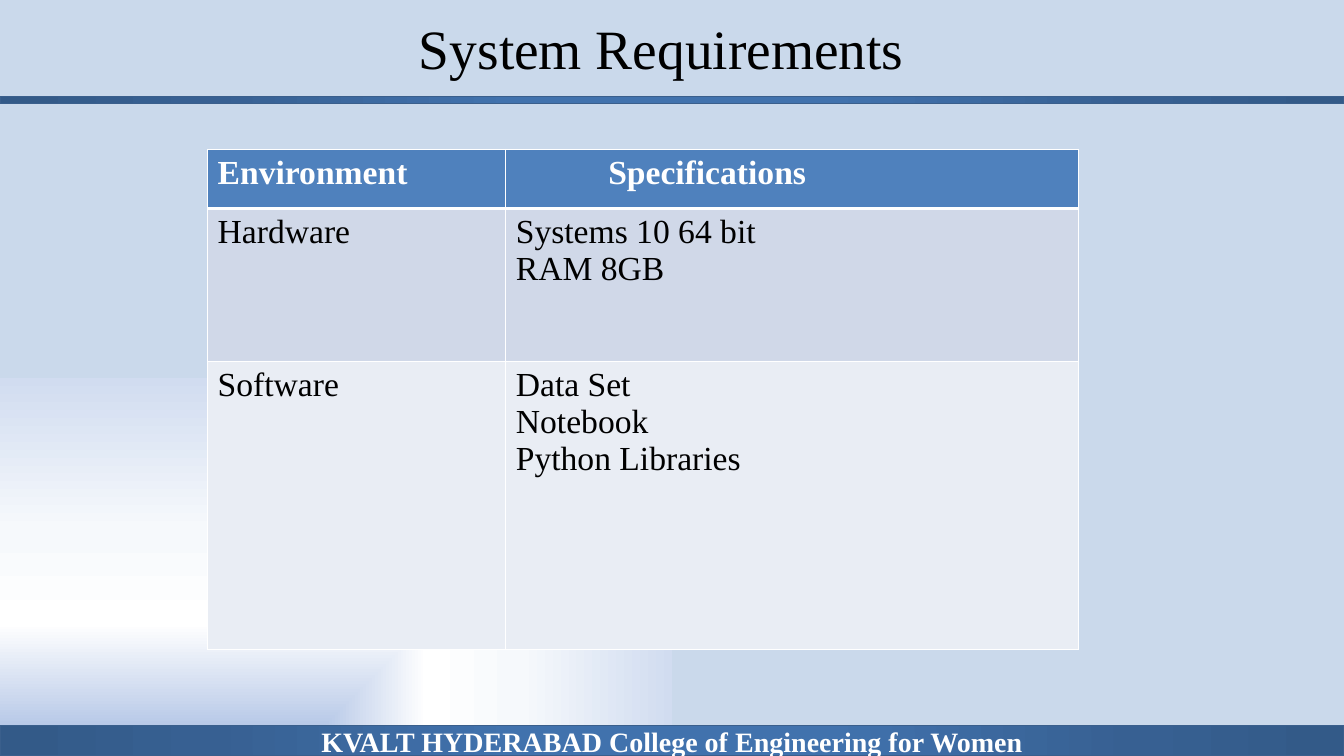
from lxml import etree
from pptx import Presentation
from pptx.dml.color import RGBColor
from pptx.enum.shapes import MSO_SHAPE
from pptx.enum.text import MSO_ANCHOR, MSO_AUTO_SIZE, PP_ALIGN
from pptx.oxml.ns import qn
from pptx.util import Pt

RECTANGLE = MSO_SHAPE.RECTANGLE
CENTER = PP_ALIGN.CENTER
FONT = "Times New Roman"
COLORS = {
    "black": "000000",
    "white": "FFFFFF",
    "bar line": "3A5F8C",
    "header": "4F81BD",
    "hardware": "D0D8E8",
    "software": "E9EDF4",
}
BAR_STOPS = [(0, "4172AD"), (23, "4172AD"), (69, "376092"), (97, "335A88")]
PAGE_STOPS = [(6, "BECEEA"), (7, "B5C7E7"), (35, "FFFFFF"), (60, "F6F9FC"),
              (100, "D1DCF0"), (100, "B0C6E1"), (100, "CAD9EB")]


def path_gradient(fill, owner, stops, kind, focus):
    """Fill with a gradient that spreads out from the focus rectangle."""
    fill.gradient()
    gradient = next(owner.iter(qn("a:gradFill")))
    for child in list(gradient):
        gradient.remove(child)
    stop_list = etree.SubElement(gradient, qn("a:gsLst"))
    for position, color in stops:
        stop = etree.SubElement(stop_list, qn("a:gs"), pos=str(position * 1000))
        etree.SubElement(stop, qn("a:srgbClr"), val=color)
    spread = etree.SubElement(gradient, qn("a:path"), path=kind)
    sides = {side: str(share * 1000) for side, share in zip("ltrb", focus)}
    etree.SubElement(spread, qn("a:fillToRect"), **sides)


def add_span(para, text, size, color, bold=False):
    span = para.add_run()
    span.text = text
    span.font.name = FONT
    span.font.size = Pt(size)
    span.font.bold = bold
    span.font.color.rgb = RGBColor.from_string(COLORS[color])


deck = Presentation()
deck.slide_width, deck.slide_height = Pt(960), Pt(540)
page = deck.slides.add_slide(deck.slide_layouts[5])

# Background
path_gradient(page.background.fill, page._element, PAGE_STOPS, "rect", (0, 100, 100, 0))

# Footer bar and rule under the title
for top, height, label in [
    (518.4, 21.6, "KVALT HYDERABAD College of Engineering for Women"),
    (69, 5, ""),
]:
    bar = page.shapes.add_shape(RECTANGLE, Pt(0), Pt(top), Pt(960), Pt(height))
    bar.shadow.inherit = False
    path_gradient(bar.fill, bar._element, BAR_STOPS, "circle", (50, 50, 50, 50))
    bar.line.color.rgb = RGBColor.from_string(COLORS["bar line"])
    bar.line.width = Pt(1)
    if label:
        bar.text_frame.vertical_anchor = MSO_ANCHOR.MIDDLE
        para = bar.text_frame.paragraphs[0]
        para.alignment = CENTER
        add_span(para, label, 20, "white", bold=True)

# Title
title = page.shapes.title
title.left, title.top, title.width, title.height = Pt(36), Pt(19.5), Pt(873), Pt(42.5)
title.text_frame.auto_size = MSO_AUTO_SIZE.NONE
title.text_frame.vertical_anchor = MSO_ANCHOR.BOTTOM
para = title.text_frame.paragraphs[0]
para.alignment = CENTER
para.line_spacing = 0.9
add_span(para, "System Requirements", 39.6, "black")

# Requirements table: row height, fill, and the lines of each cell
ROWS = [
    (42.3, "header", [["Environment"], ["Specifications"]]),
    (109.4, "hardware", [["Hardware"], ["Systems 10 64 bit", "RAM 8GB"]]),
    (205.9, "software", [["Software"], ["Data Set", "Notebook", "Python Libraries"]]),
]
COLUMN_WIDTHS = [213, 409]
frame = page.shapes.add_table(len(ROWS), len(COLUMN_WIDTHS), Pt(148.3), Pt(106.6),
                              Pt(sum(COLUMN_WIDTHS)), Pt(sum(row[0] for row in ROWS)))
table = frame.table
for column, width in zip(table.columns, COLUMN_WIDTHS):
    column.width = Pt(width)

for row_index, (height, color, cells) in enumerate(ROWS):
    table.rows[row_index].height = Pt(height)
    is_header = row_index == 0
    for column_index, lines in enumerate(cells):
        cell = table.cell(row_index, column_index)
        for line_index, text in enumerate(lines):
            box = cell.text_frame
            para = box.add_paragraph() if line_index else box.paragraphs[0]
            if is_header and column_index == 1:
                para._p.get_or_add_pPr().set("marL", str(Pt(66)))
            add_span(para, text, 24, "white" if is_header else "black", is_header)

        # Borders come before the fill in the cell properties
        properties = cell._tc.get_or_add_tcPr()
        for side in ("L", "R", "T", "B"):
            thick = (is_header and side == "B") or (row_index == 1 and side == "T")
            border = etree.SubElement(properties, qn(f"a:ln{side}"), w=str(Pt(3 if thick else 1)))
            paint = etree.SubElement(border, qn("a:solidFill"))
            etree.SubElement(paint, qn("a:srgbClr"), val=COLORS["white"])
        cell.fill.solid()
        cell.fill.fore_color.rgb = RGBColor.from_string(COLORS[color])

deck.save("out.pptx")
